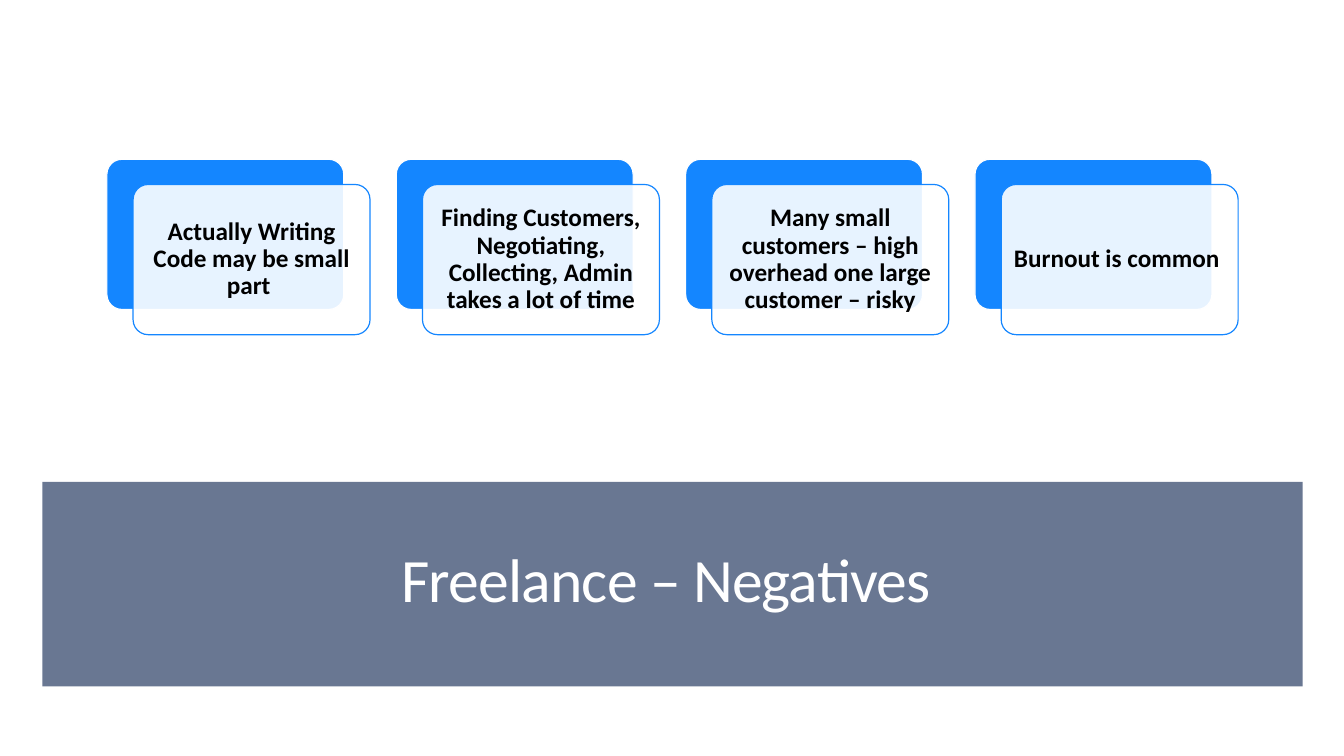
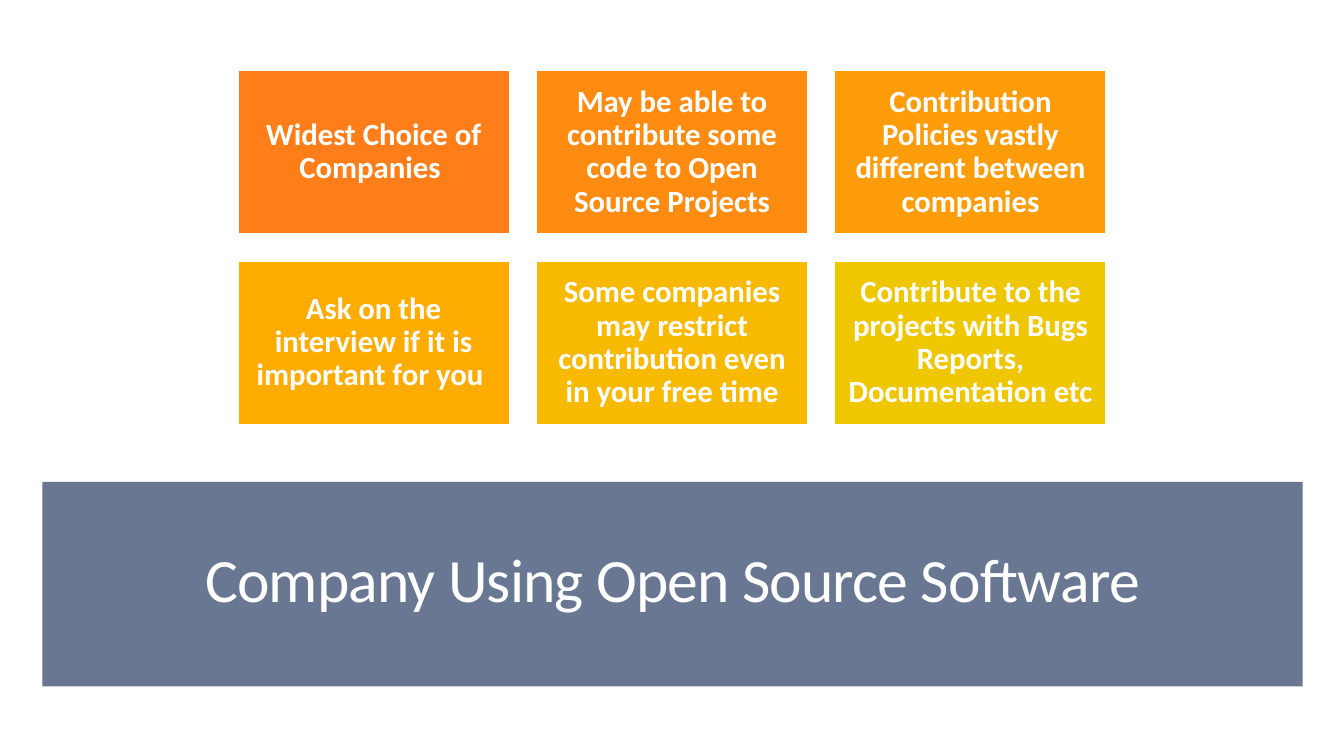
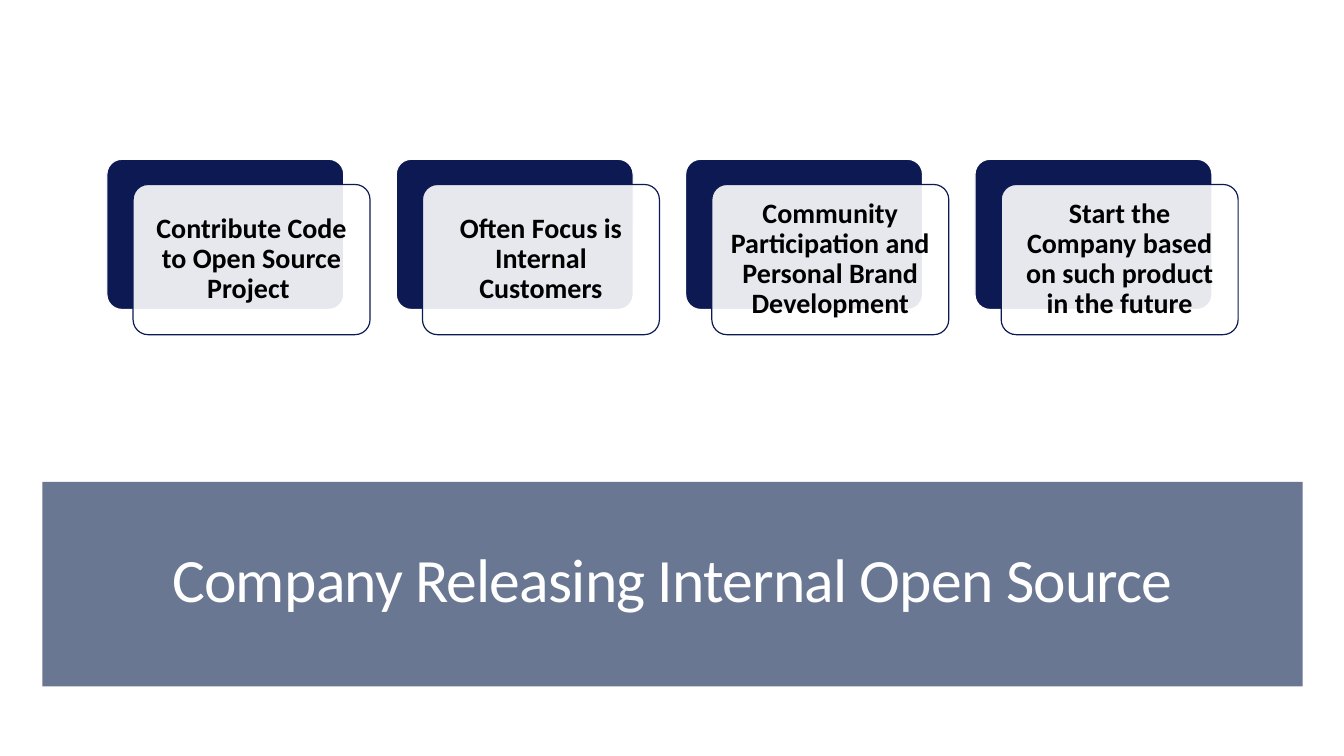
from lxml import etree
from pptx import Presentation
from pptx.dml.color import RGBColor
from pptx.enum import shapes, text
from pptx.oxml import ns
from pptx.util import Inches, Pt

WHITE, BLACK, SLATE = "FFFFFF", "000000", "697792"
BLUE, NAVY = "1486FF", "0D1953"
RECT, ROUNDED = shapes.MSO_SHAPE.RECTANGLE, shapes.MSO_SHAPE.ROUNDED_RECTANGLE


def add_block(page, kind, at, fill, line=None):
    block = page.shapes.add_shape(kind, *[Inches(length) for length in at])
    block.shadow.inherit = False
    block.fill.solid()
    block.fill.fore_color.rgb = RGBColor.from_string(fill)
    if line:
        block.line.color.rgb = RGBColor.from_string(line)
        block.line.width = Pt(0.85)
    else:
        block.line.fill.background()
    if kind == ROUNDED:
        block.adjustments[0] = 0.1
    return block


def write(box, words, size, color, inset, bold=False):
    """Put one centred paragraph in a box and return its run."""
    frame = box.text_frame
    frame.word_wrap = True
    frame.vertical_anchor = text.MSO_ANCHOR.MIDDLE
    for side in ("left", "top", "right", "bottom"):
        setattr(frame, f"margin_{side}", Inches(inset))
    para = frame.paragraphs[0]
    para.alignment = text.PP_ALIGN.CENTER
    para.line_spacing = 0.9
    span = para.add_run()
    span.text = words
    for name, value in {"name": "Calibri", "size": Pt(size), "bold": bold}.items():
        setattr(span.font, name, value)
    span.font.color.rgb = RGBColor.from_string(color)
    return span


deck = Presentation()
deck.slide_width, deck.slide_height = Inches(13.33), Inches(7.5)

# Every page: a slate band with the title
titles = [
    "Freelance – Negatives ",
    "Company Using Open Source Software",
    "Company Releasing Internal Open Source",
]
pages = []
for title in titles:
    page = deck.slides.add_slide(deck.slide_layouts[6])
    add_block(page, RECT, (0.42, 4.78, 12.5, 2.03), SLATE)
    title_box = page.shapes.add_textbox(Inches(0.61), Inches(5.03), Inches(12.12), Inches(1.49))
    span = write(title_box, title, 44, WHITE, 0.1)
    span._r.get_or_add_rPr().set("spc", "-60")
    pages.append(page)
negatives_page, using_page, releasing_page = pages

# Rows of overlapping cards
negatives = [
    "Actually Writing Code may be small part ",
    "Finding Customers, Negotiating, Collecting, Admin takes a lot of time",
    "Many small customers – high overhead one large customer – risky",
    "Burnout is common ",
]
releasing = [
    "Contribute Code to Open Source Project ",
    "Often Focus is Internal Customers",
    "Community Participation and Personal Brand Development",
    "Start the Company based on such product in the future",
]
card_left, card_top, card_width, card_height, card_pitch = 1.06, 1.58, 2.35, 1.49, 2.87
for page, labels, accent, size, inset in [
    (negatives_page, negatives, BLUE, 18, 0.07),
    (releasing_page, releasing, NAVY, 20, 0.08),
]:
    for column, label in enumerate(labels):
        left = card_left + column * card_pitch
        add_block(page, ROUNDED, (left, card_top, card_width, card_height), accent, WHITE)
        front = add_block(page, ROUNDED, (left + 0.26, card_top + 0.25, card_width, card_height),
                          WHITE, accent)
        fill_color = front.fill._xPr.find(ns.qn("a:solidFill"))[0]
        etree.SubElement(fill_color, ns.qn("a:alpha"), val="90000")
        write(front, label, size, BLACK, inset, bold=True)

# Grid of tiles, three to a row
tiles = [
    ("Widest Choice of Companies ", "FF7E19"),
    ("May be able to contribute some code to Open Source Projects", "FF8C11"),
    ("Contribution Policies vastly different between companies", "FF9C09"),
    ("Ask on the interview if it is important for you ", "FFAC00"),
    ("Some companies may restrict contribution even in your free time", "F7BA00"),
    ("Contribute to the projects with Bugs Reports, Documentation etc", "EFC700"),
]
for index, (label, color) in enumerate(tiles):
    row, column = divmod(index, 3)
    at = (2.36 + column * 2.96, 0.7 + row * 1.89, 2.69, 1.62)
    tile = add_block(using_page, RECT, at, color, WHITE)
    write(tile, label, 22, WHITE, 0.09, bold=True)

deck.save("out.pptx")
